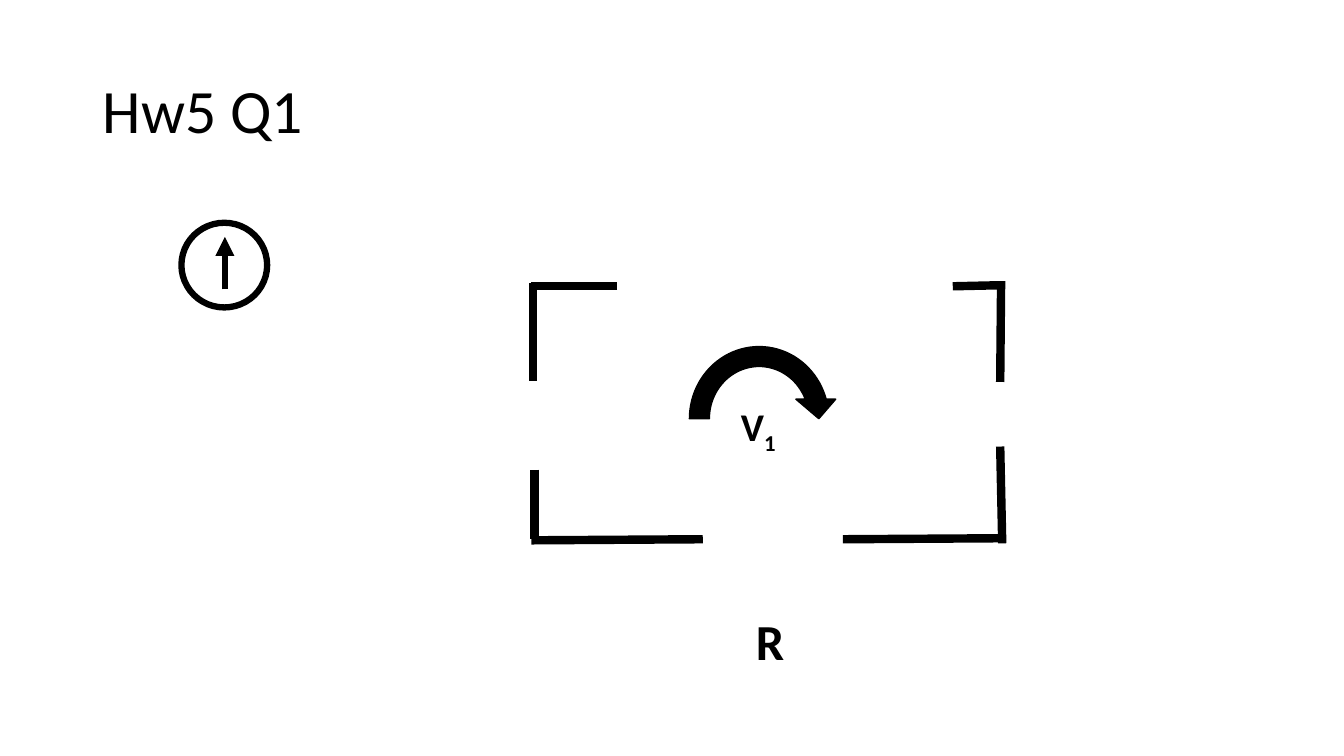
from lxml.etree import SubElement
from pptx import Presentation
from pptx.dml.color import RGBColor
from pptx.enum.shapes import MSO_CONNECTOR, MSO_SHAPE
from pptx.enum.text import MSO_ANCHOR, MSO_AUTO_SIZE, PP_ALIGN
from pptx.oxml.ns import qn
from pptx.util import Inches, Pt

THEME = {
    "font": "Calibri",
    "ink": RGBColor(0, 0, 0),
    "paper": RGBColor(255, 255, 255),
    "title": Pt(44),
    "resistor": Pt(36),
    "mesh": Pt(28),
    "wire": Pt(6),
    "source": Pt(4.5),
    "thin": Pt(1),
}

prs = Presentation()
prs.slide_width, prs.slide_height = Inches(13.33), Inches(7.5)
s = prs.slides.add_slide(prs.slide_layouts[5])


def pct(*shares):
    sides = (prs.slide_width, prs.slide_height) * 2
    return [round(side * share / 100) for side, share in zip(sides, shares)]


def write(p, text, size, bold):
    r = p.add_run()
    r.text = text
    fmt = {"name": THEME["font"], "size": THEME[size], "bold": bold}
    for key, value in fmt.items():
        setattr(r.font, key, value)
    r.font.color.rgb = THEME["ink"]
    return r


title = s.shapes.title
title.left, title.top, title.width, title.height = pct(6.9, 5.33, 86.27, 19.33)
title.text_frame.vertical_anchor = MSO_ANCHOR.MIDDLE
p = title.text_frame.paragraphs[0]
p.alignment, p.line_spacing = PP_ALIGN.LEFT, 0.9
write(p, "Hw5 Q1", "title", False)

shapes = [
    (MSO_SHAPE.OVAL, (13.5, 29.47, 6.38, 11.2), "paper", "source"),
    (MSO_SHAPE.CIRCULAR_ARROW, (50.56, 44.53, 11.85, 21.73), "ink", "thin"),
]
for kind, box, fill, weight in shapes:
    sp = s.shapes.add_shape(kind, *pct(*box))
    sp.shadow.inherit = False
    sp.fill.solid()
    sp.fill.fore_color.rgb = THEME[fill]
    sp.line.color.rgb = THEME["ink"]
    sp.line.width = THEME[weight]

lines = [
    ((62.72, 71.33, 74.42, 71.2), "wire"),
    ((74.42, 59.07, 74.57, 71.87), "wire"),
    ((74.49, 37.2, 74.42, 50.53), "wire"),
    ((70.89, 37.87, 74.42, 37.73), "wire"),
    ((52.29, 71.33, 39.53, 71.47), "wire"),
    ((39.68, 37.47, 39.68, 50.4), "wire"),
    ((39.76, 62.13, 39.76, 71.33), "wire"),
    ((45.91, 37.87, 39.53, 37.87), "wire"),
    ((16.73, 38.27, 16.73, 31.33), "source"),
]
for ends, weight in lines:
    line = s.shapes.add_connector(MSO_CONNECTOR.STRAIGHT, *pct(*ends))
    line.line.color.rgb = THEME["ink"]
    line.line.width = THEME[weight]
    if weight == "source":
        SubElement(line.line._get_or_add_ln(), qn("a:tailEnd"), type="triangle")
    SubElement(line._element.spPr, qn("a:effectLst"))

labels = [
    ("R", "", (55.51, 80, 4.58, 9.47), "resistor"),
    ("V", "1", (54.39, 52.53, 4.28, 7.6), "mesh"),
]
for text, subscript, box, size in labels:
    tf = s.shapes.add_textbox(*pct(*box)).text_frame
    tf.word_wrap = True
    tf.auto_size = MSO_AUTO_SIZE.SHAPE_TO_FIT_TEXT
    p = tf.paragraphs[0]
    write(p, text, size, True)
    if subscript:
        r = write(p, subscript, size, True)
        r._r.get_or_add_rPr().set("baseline", "-25000")

prs.save("out.pptx")
